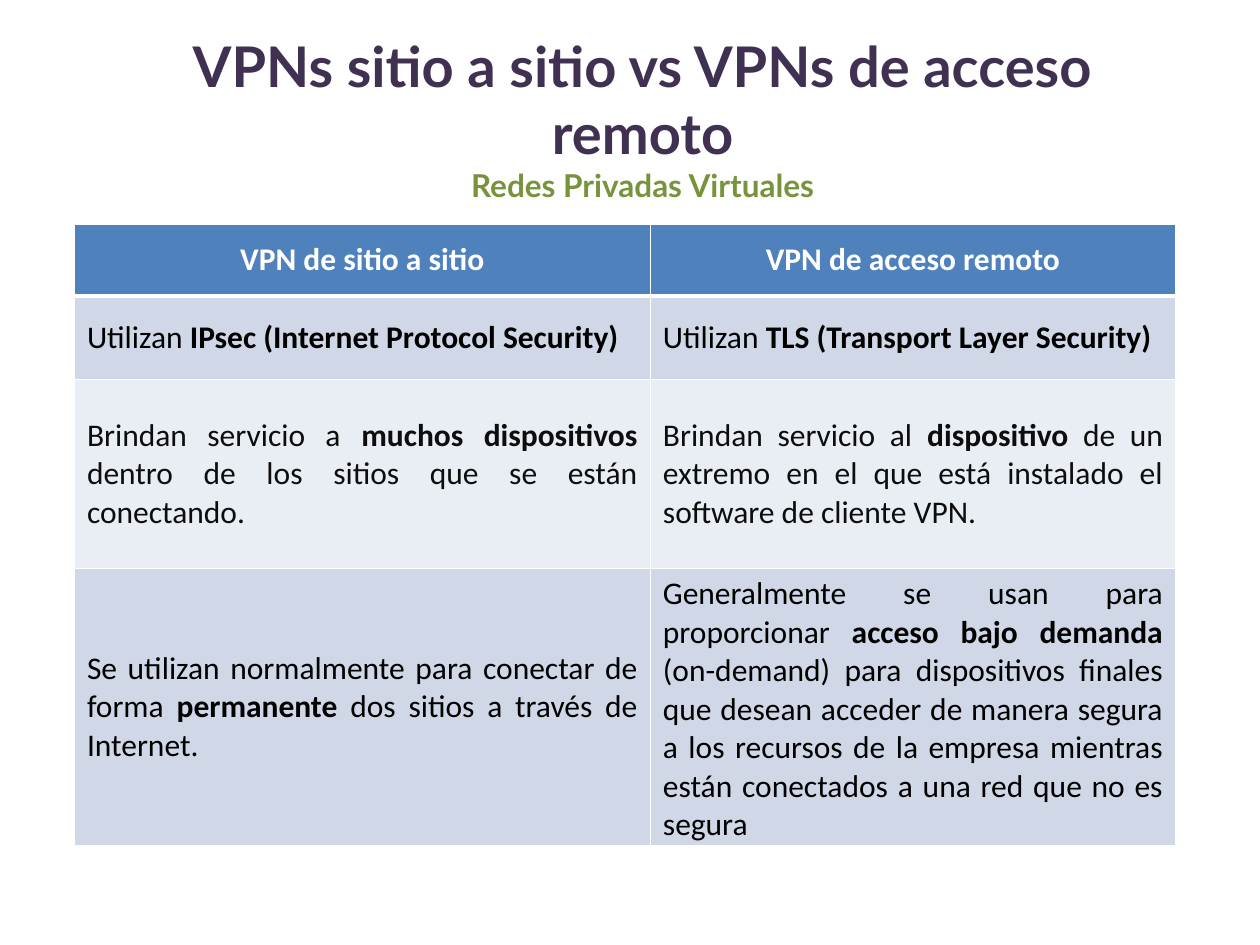
from dataclasses import dataclass

import pptx
import pptx.dml.color
import pptx.enum.text
import pptx.oxml
import pptx.oxml.ns
import pptx.util
from lxml import etree

Cm = pptx.util.Cm
Pt = pptx.util.Pt
RGBColor = pptx.dml.color.RGBColor
PP_ALIGN = pptx.enum.text.PP_ALIGN

PURPLE = RGBColor(0x40, 0x31, 0x52)
GREEN = RGBColor(0x77, 0x93, 0x3C)
BLUE = RGBColor(0x4F, 0x81, 0xBD)
BAND_DARK = RGBColor(0xD0, 0xD8, 0xE8)
BAND_LIGHT = RGBColor(0xE9, 0xED, 0xF4)
WHITE = RGBColor(0xFF, 0xFF, 0xFF)
BLACK = RGBColor(0x00, 0x00, 0x00)
NEAR_BLACK = RGBColor(0x0D, 0x0D, 0x0D)


@dataclass(frozen=True)
class Span:
    text: str
    bold: bool = False


@dataclass(frozen=True)
class Row:
    height: float
    fill: RGBColor
    color: RGBColor
    align: PP_ALIGN
    cells: list[list[Span]]


COLUMN_WIDTHS = [11.61, 10.59]
ROWS = [
    Row(1.45, BLUE, WHITE, PP_ALIGN.CENTER, [
        [Span("VPN de sitio a sitio", True)],
        [Span("VPN de acceso remoto", True)],
    ]),
    Row(1.68, BAND_DARK, BLACK, PP_ALIGN.JUSTIFY, [
        [Span("Utilizan "), Span("IPsec (Internet Protocol Security)", True)],
        [Span("Utilizan "), Span("TLS (Transport Layer Security)", True)],
    ]),
    Row(3.81, BAND_LIGHT, NEAR_BLACK, PP_ALIGN.JUSTIFY, [
        [Span("Brindan servicio a "), Span("muchos dispositivos ", True),
         Span("dentro de los sitios que se están conectando.")],
        [Span("Brindan servicio al "), Span("dispositivo", True),
         Span(" de un extremo en el que está instalado el software de cliente VPN.")],
    ]),
    Row(5.03, BAND_DARK, BLACK, PP_ALIGN.JUSTIFY, [
        [Span("Se utilizan normalmente para conectar de forma "),
         Span("permanente", True), Span(" dos sitios a través de Internet.")],
        [Span("Generalmente se usan para proporcionar "),
         Span("acceso bajo demanda ", True),
         Span("(on-demand) para dispositivos finales que desean acceder de manera "
              "segura a los recursos de la empresa mientras están conectados a una "
              "red que no es segura")],
    ]),
]


def format_run(r, font: str, size: float, color: RGBColor, bold: bool) -> None:
    r.font.name = font
    r.font.size = Pt(size)
    r.font.color.rgb = color
    r.font.bold = bold


def add_heading(s) -> None:
    sp = s.shapes.add_textbox(Cm(2.49), Cm(0.51), Cm(20.93), Cm(2.39))
    tf = sp.text_frame
    tf.word_wrap = True
    tf.auto_size = pptx.enum.text.MSO_AUTO_SIZE.SHAPE_TO_FIT_TEXT
    tf.text = "VPNs sitio a sitio vs VPNs de acceso remoto\nRedes Privadas Virtuales"
    for p, size, color in zip(tf.paragraphs, (32, 18), (PURPLE, GREEN)):
        p.alignment = PP_ALIGN.CENTER
        format_run(p.runs[0], "Lato", size, color, True)


def set_borders(cell, top: float, bottom: float) -> None:
    tc_pr = cell._tc.get_or_add_tcPr()
    qn = pptx.oxml.ns.qn
    for side, width in (("L", 1), ("R", 1), ("T", top), ("B", bottom)):
        ln = etree.SubElement(tc_pr, qn(f"a:ln{side}"), w=str(Pt(width)))
        fill = etree.SubElement(ln, qn("a:solidFill"))
        etree.SubElement(fill, qn("a:srgbClr"), val=str(WHITE))


def fill_cell(cell, row: Row, spans: list[Span]) -> None:
    cell.fill.solid()
    cell.fill.fore_color.rgb = row.fill
    cell.vertical_anchor = pptx.enum.text.MSO_ANCHOR.MIDDLE
    p = cell.text_frame.paragraphs[0]
    p.alignment = row.align
    for span in spans:
        r = p.add_run()
        r.text = span.text
        format_run(r, "Calibri", 18, row.color, span.bold)


def add_comparison(s) -> None:
    height = Cm(12.55)
    frame = s.shapes.add_table(len(ROWS), len(COLUMN_WIDTHS), Cm(1.5), Cm(4.52),
                               Cm(sum(COLUMN_WIDTHS)), height)
    table = frame.table
    for column, width in zip(table.columns, COLUMN_WIDTHS):
        column.width = Cm(width)
    for i, row in enumerate(ROWS):
        table.rows[i].height = Cm(row.height)
        for j, spans in enumerate(row.cells):
            cell = table.cell(i, j)
            set_borders(cell, 3 if i == 1 else 1, 3 if i == 0 else 1)
            fill_cell(cell, row, spans)
    frame.height = height


def main() -> None:
    prs = pptx.Presentation()
    prs.slide_width = Cm(25.4)
    prs.slide_height = Cm(19.05)
    s = prs.slides.add_slide(prs.slide_layouts[6])
    add_heading(s)
    add_comparison(s)
    prs.save("out.pptx")


if __name__ == "__main__":
    main()
